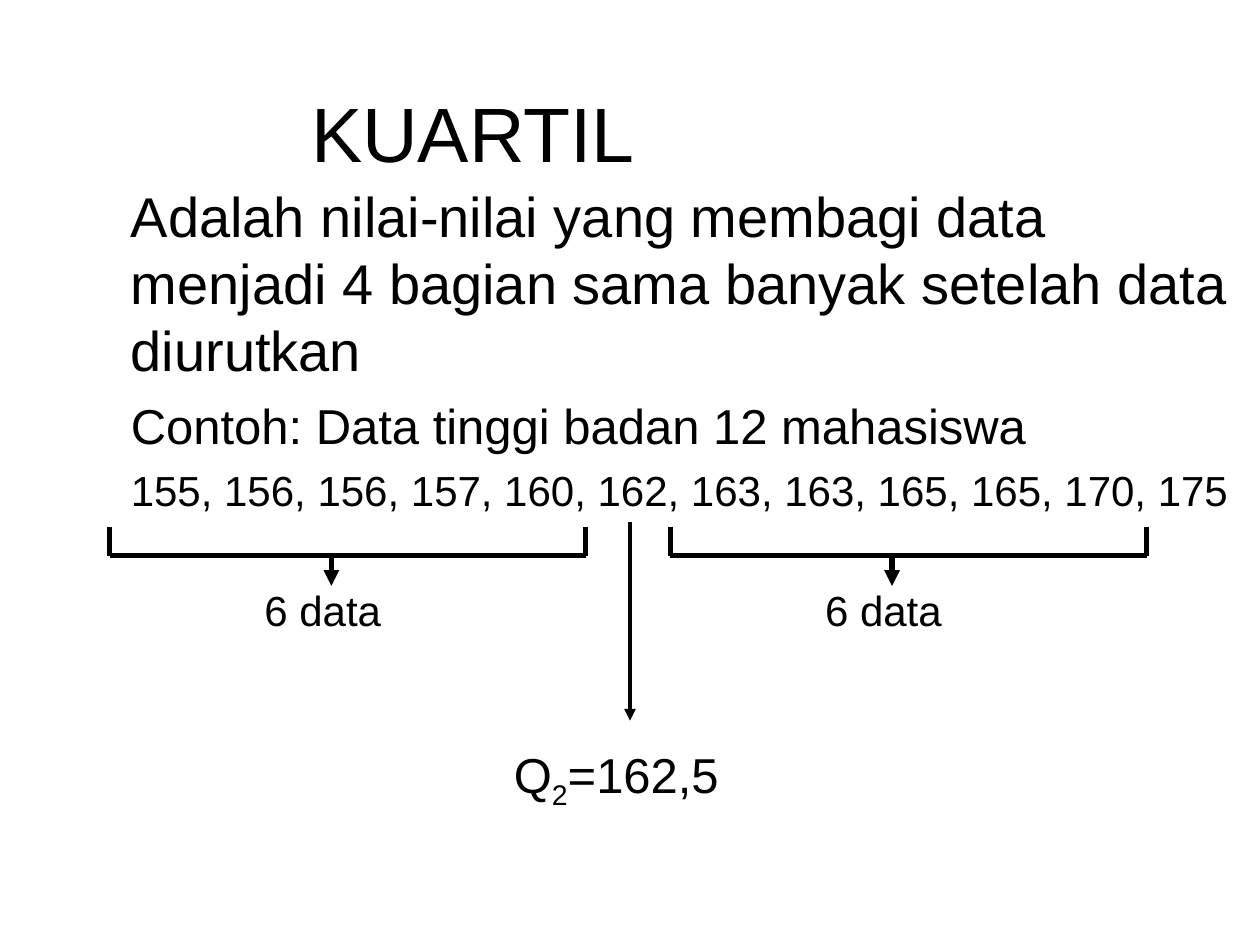
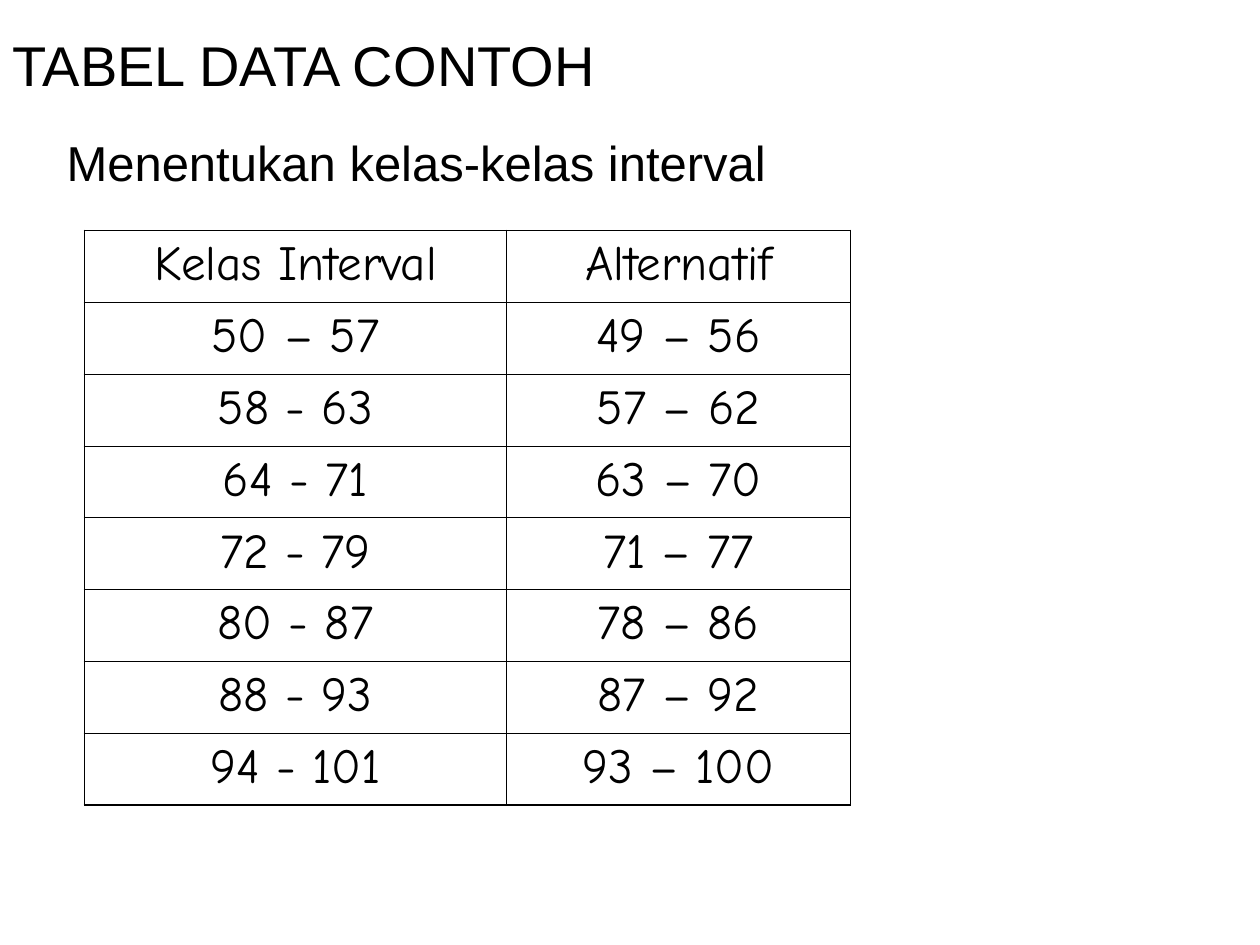
from dataclasses import dataclass
from typing import Optional

from lxml.etree import SubElement
from pptx import Presentation
from pptx.dml.color import RGBColor
from pptx.enum.shapes import MSO_CONNECTOR as Conn
from pptx.enum.text import MSO_ANCHOR as Anchor, MSO_AUTO_SIZE as AutoSize, PP_ALIGN as Align
from pptx.oxml.ns import qn
from pptx.util import Inches, Pt


@dataclass(frozen=True)
class Theme:
    ink: RGBColor = RGBColor(0, 0, 0)
    font: str = "Arial"
    table_font: str = "Comic Neue"
    title: int = 44
    large: int = 32
    medium: int = 28
    small: int = 24
    bracket_line: float = 3
    arrow_line: float = 2.25
    outer_border: float = 1.08
    inner_border: float = 0.45


@dataclass(frozen=True)
class Box:
    left: float
    top: float
    width: float
    height: float

    def lengths(self):
        return [Inches(v) for v in (self.left, self.top, self.width, self.height)]


@dataclass(frozen=True)
class Bracket:
    left: float
    label: str
    width: float = 3.78
    top: float = 4.18
    bottom: float = 4.41
    tip: float = 4.65
    stem: float = 1.76
    label_offset: float = 1.13


THEME = Theme()
BRACKETS = [Bracket(0.87, "6 data"), Bracket(5.32, "6 data")]
INTERVALS = [
    ("Kelas Interval", "Alternatif"),
    ("50 – 57", "49 – 56"),
    ("58 - 63", "57 – 62"),
    ("64 - 71", "63 – 70"),
    ("72 - 79", "71 – 77"),
    ("80 - 87", "78 – 86"),
    ("88 - 93", "87 – 92"),
    ("94 - 101", "93 – 100"),
]
COLUMN_WIDTHS = (3.35, 2.73)
ROW_HEIGHT = 0.57


def add_run(p, text: str, *, size: float, font: str = THEME.font,
            baseline: Optional[int] = None) -> None:
    r = p.add_run()
    r.text = text
    r.font.size = Pt(size)
    r.font.name = font
    r.font.color.rgb = THEME.ink
    if baseline is not None:
        r.font._element.set("baseline", str(baseline * 1000))


def write(p, text: str, *, size: float, font: str = THEME.font,
          align: Align = Align.LEFT, before: float = 0) -> None:
    p.alignment = align
    p.space_before = Pt(before)
    add_run(p, text, size=size, font=font)


def add_box(shapes, box: Box):
    tf = shapes.add_textbox(*box.lengths()).text_frame
    tf.word_wrap = True
    return tf


def add_title_slide(prs, text: str, box: Box, *, size: float, align: Align):
    s = prs.slides.add_slide(prs.slide_layouts[5])
    sp = s.shapes.title
    sp.left, sp.top, sp.width, sp.height = box.lengths()
    tf = sp.text_frame
    tf.auto_size = AutoSize.NONE
    tf.vertical_anchor = Anchor.MIDDLE
    write(tf.paragraphs[0], text, size=size, align=align)
    return s


def add_line(shapes, x1: float, y1: float, x2: float, y2: float, *,
             width: float, arrow: bool = False) -> None:
    sp = shapes.add_connector(Conn.STRAIGHT, Inches(x1), Inches(y1), Inches(x2), Inches(y2))
    sp.line.color.rgb = THEME.ink
    sp.line.width = Pt(width)
    if arrow:
        SubElement(sp.line._get_or_add_ln(), qn("a:tailEnd"), type="triangle")
    SubElement(sp._element.spPr, qn("a:effectLst"))


def add_bracket(s, b: Bracket) -> None:
    shapes = s.shapes.add_group_shape().shapes
    right, stem = b.left + b.width, b.left + b.stem
    for x in (b.left, right):
        add_line(shapes, x, b.top, x, b.bottom, width=THEME.bracket_line)
    add_line(shapes, b.left, b.bottom, right, b.bottom, width=THEME.bracket_line)
    add_line(shapes, stem, b.bottom, stem, b.tip, width=THEME.bracket_line, arrow=True)
    tf = add_box(shapes, Box(b.left + b.label_offset, 4.59, 2.13, 0.5))
    write(tf.paragraphs[0], b.label, size=THEME.small)


def set_borders(cell, outer_sides: dict[str, bool]) -> None:
    tc_pr = cell._tc.get_or_add_tcPr()
    for side, outer in outer_sides.items():
        width = THEME.outer_border if outer else THEME.inner_border
        ln = SubElement(tc_pr, qn(f"a:ln{side}"), w=str(Pt(width)))
        fill = SubElement(ln, qn("a:solidFill"))
        SubElement(fill, qn("a:srgbClr"), val=str(THEME.ink))


def add_interval_table(s, left: float, top: float) -> None:
    rows, cols = len(INTERVALS), len(COLUMN_WIDTHS)
    box = Box(left, top, sum(COLUMN_WIDTHS), ROW_HEIGHT * rows)
    table = s.shapes.add_table(rows, cols, *box.lengths()).table
    table.first_row = table.horz_banding = False
    for column, width in zip(table.columns, COLUMN_WIDTHS):
        column.width = Inches(width)
    for i, values in enumerate(INTERVALS):
        table.rows[i].height = Inches(ROW_HEIGHT)
        for j, text in enumerate(values):
            cell = table.cell(i, j)
            set_borders(cell, {"L": j == 0, "R": j == cols - 1,
                               "T": i == 0, "B": i == rows - 1})
            cell.fill.background()
            write(cell.text_frame.paragraphs[0], text, size=THEME.medium,
                  font=THEME.table_font, align=Align.CENTER)


def build_quartile_slide(prs) -> None:
    s = add_title_slide(prs, "KUARTIL", Box(0, 0.17, 7.51, 1.75),
                        size=THEME.title, align=Align.CENTER)
    tf = add_box(s.shapes, Box(0.94, 1.39, 9.06, 4.83))
    body = [
        ("Adalah nilai-nilai yang membagi data menjadi 4 bagian sama banyak "
         "setelah data diurutkan", THEME.large, 0),
        ("Contoh: Data tinggi badan 12 mahasiswa", THEME.medium, 7),
        ("155, 156, 156, 157, 160, 162, 163, 163, 165, 165, 170, 175", THEME.small, 6),
    ]
    for i, (text, size, before) in enumerate(body):
        p = tf.add_paragraph() if i else tf.paragraphs[0]
        write(p, text, size=size, before=before)
    for bracket in BRACKETS:
        add_bracket(s, bracket)
    add_line(s.shapes, 5, 4.14, 5, 5.72, width=THEME.arrow_line, arrow=True)
    p = add_box(s.shapes, Box(3.98, 5.86, 2.68, 0.63)).paragraphs[0]
    write(p, "Q", size=THEME.medium)
    add_run(p, "2", size=THEME.medium, baseline=-25)
    add_run(p, "=162,5", size=THEME.medium)


def build_interval_slide(prs) -> None:
    s = add_title_slide(prs, "TABEL DATA CONTOH", Box(0, 0.26, 7.33, 0.49),
                        size=THEME.large, align=Align.LEFT)
    add_interval_table(s, 0.67, 1.83)
    tf = add_box(s.shapes, Box(0.43, 1, 7.32, 0.57))
    write(tf.paragraphs[0], "Menentukan kelas-kelas interval", size=THEME.medium)


def main() -> None:
    prs = Presentation()
    prs.slide_width, prs.slide_height = Inches(10), Inches(7.5)
    build_quartile_slide(prs)
    build_interval_slide(prs)
    prs.save("out.pptx")


if __name__ == "__main__":
    main()
